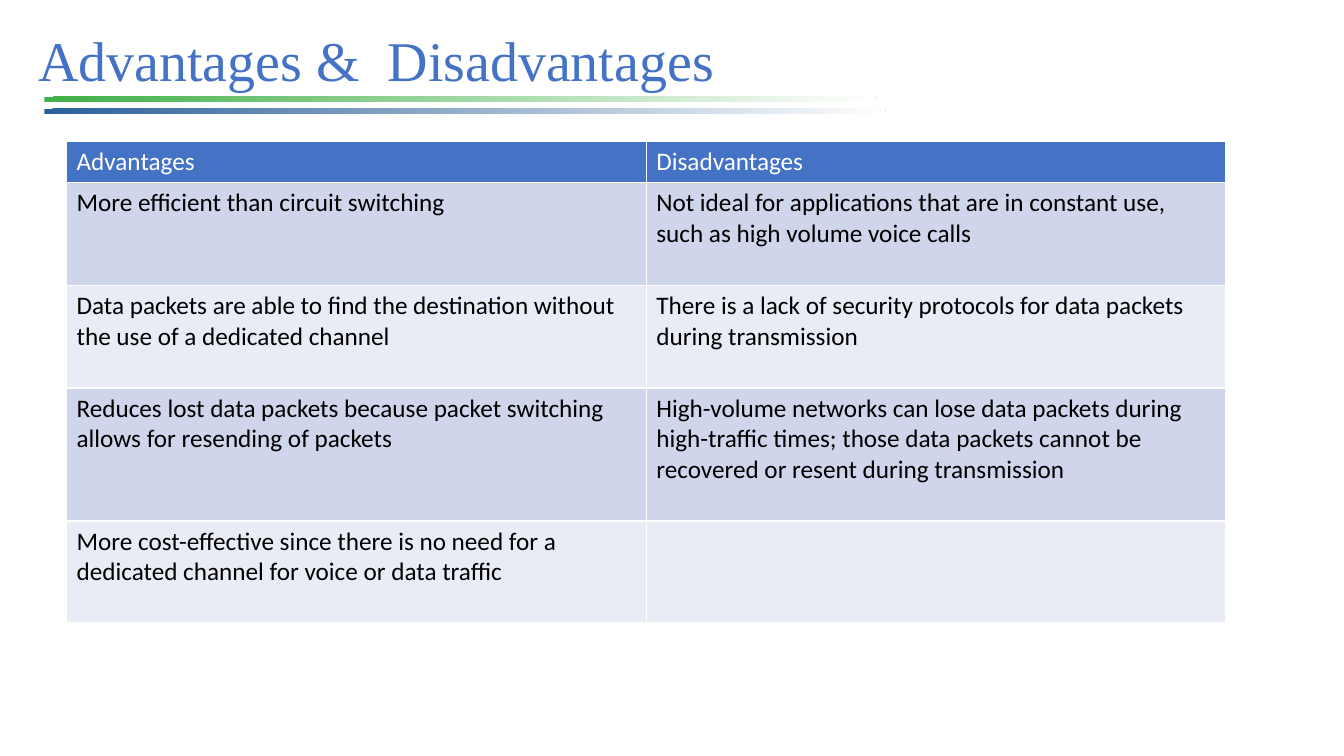
from dataclasses import dataclass

from pptx import Presentation
from pptx.dml.color import RGBColor as RGB
from pptx.enum.shapes import MSO_SHAPE as SHAPE
from pptx.enum.text import MSO_ANCHOR as ANCHOR
from pptx.util import Inches, Pt


@dataclass(frozen=True)
class Theme:
    blue: RGB = RGB(0x44, 0x72, 0xC4)
    white: RGB = RGB(0xFF, 0xFF, 0xFF)
    black: RGB = RGB(0, 0, 0)
    green_bar: RGB = RGB(0x3F, 0xAF, 0x46)
    blue_bar: RGB = RGB(0x2A, 0x60, 0x99)
    bands: tuple = (RGB(0xCF, 0xD5, 0xEA), RGB(0xE9, 0xEB, 0xF5))
    title_font: str = "Times New Roman"
    body_font: str = "Calibri"
    title_size: Pt = Pt(40)
    body_size: Pt = Pt(18)


theme = Theme()


def add_run(paragraph, text, font, size, color):
    run = paragraph.add_run()
    run.text = text
    run.font.name = font
    run.font.size = size
    run.font.bold = False
    run.font.color.rgb = color


prs = Presentation()
prs.slide_width, prs.slide_height = Inches(13.33), Inches(7.5)
slide = prs.slides.add_slide(prs.slide_layouts[6])

# Fading bars under the title
for top, width, color in ((0.96, 8.24, theme.green_bar), (1.08, 8.34, theme.blue_bar)):
    bar = slide.shapes.add_shape(
        SHAPE.RECTANGLE, Inches(0.44), Inches(top), Inches(width), Inches(0.05))
    bar.shadow.inherit = False
    bar.line.fill.background()
    bar.fill.gradient()
    bar.fill.gradient_angle = 319
    for stop, position, shade in zip(bar.fill.gradient_stops, (0, 1), (color, theme.white)):
        stop.position = position
        stop.color.rgb = shade

# Title
title = slide.shapes.add_textbox(
    Inches(0.28), Inches(0.16), Inches(8.65), Inches(0.94)).text_frame
title.word_wrap = True
title.vertical_anchor = ANCHOR.MIDDLE
heading = title.paragraphs[0]
heading.line_spacing = 0.9
add_run(heading, "Advantages &  Disadvantages", theme.title_font, theme.title_size, theme.blue)

# Comparison table: row height, advantage, disadvantage
comparison = [
    (0.41, "Advantages", "Disadvantages"),
    (1.02, "More efficient than circuit switching",
     "Not ideal for applications that are in constant use, such as high volume voice calls"),
    (1.02, "Data packets are able to find the destination without the use of a dedicated channel",
     "There is a lack of security protocols for data packets during transmission"),
    (1.32, "Reduces lost data packets because packet switching allows for resending of packets",
     "High-volume networks can lose data packets during high-traffic times; "
     "those data packets cannot be recovered or resent during transmission"),
    (1.01, "More cost-effective since there is no need for a dedicated channel "
     "for voice or data traffic", ""),
]
total_height = sum(height for height, *_ in comparison)
table = slide.shapes.add_table(
    len(comparison), 2, Inches(0.66), Inches(1.4), Inches(11.5), Inches(total_height)).table

for row_index, (height, *entries) in enumerate(comparison):
    table.rows[row_index].height = Inches(height)
    is_header = row_index == 0
    fill_color = theme.blue if is_header else theme.bands[(row_index - 1) % 2]
    text_color = theme.white if is_header else theme.black
    for column_index, entry in enumerate(entries):
        cell = table.cell(row_index, column_index)
        cell.fill.solid()
        cell.fill.fore_color.rgb = fill_color
        if entry:
            add_run(cell.text_frame.paragraphs[0], entry,
                    theme.body_font, theme.body_size, text_color)

prs.save("out.pptx")
